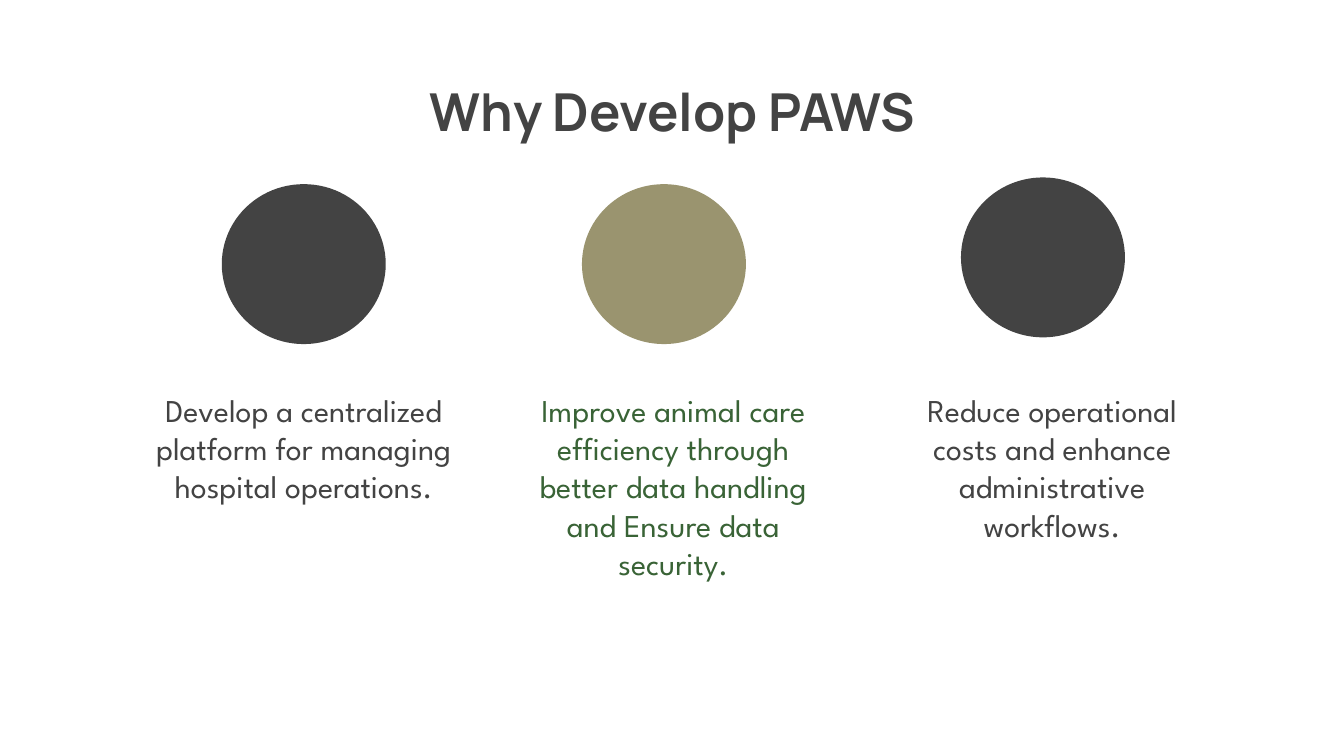
from pptx import Presentation
from pptx.dml.color import RGBColor
from pptx.enum.shapes import MSO_SHAPE
from pptx.enum.text import MSO_ANCHOR, PP_ALIGN
from pptx.util import Inches, Pt

CHARCOAL = "434343"
OLIVE = "9A946F"
GREEN = "396336"

# Each reason: circle left, top, colour; text left, width, height, colour; wording
REASONS = [
    (1.65, 1.37, CHARCOAL, 1.05, 2.42, 1.84, CHARCOAL,
     "Develop a centralized platform for managing hospital operations."),
    (4.33, 1.37, OLIVE, 3.8, 2.42, 1.94, GREEN,
     "Improve animal care efficiency through better data handling "
     "and Ensure data security."),
    (7.15, 1.32, CHARCOAL, 6.71, 2.24, 1.94, CHARCOAL,
     "Reduce operational costs and enhance administrative workflows."),
]


def color(hex_value):
    return RGBColor.from_string(hex_value)


def add_text(slide, text, left, top, width, height, *, font, size, fill,
             bold=False):
    box = slide.shapes.add_textbox(
        Inches(left), Inches(top), Inches(width), Inches(height))
    frame = box.text_frame
    frame.word_wrap = True
    frame.vertical_anchor = MSO_ANCHOR.TOP
    frame.margin_left = frame.margin_right = Inches(0.1)
    frame.margin_top = frame.margin_bottom = Inches(0.1)
    paragraph = frame.paragraphs[0]
    paragraph.alignment = PP_ALIGN.CENTER
    run = paragraph.add_run()
    run.text = text
    run.font.name = font
    run.font.size = Pt(size)
    run.font.bold = bold
    run.font.color.rgb = color(fill)


def add_circle(slide, left, top, fill):
    circle = slide.shapes.add_shape(
        MSO_SHAPE.OVAL, Inches(left), Inches(top), Inches(1.22), Inches(1.19))
    circle.shadow.inherit = False
    circle.fill.solid()
    circle.fill.fore_color.rgb = color(fill)
    circle.line.fill.background()


def main():
    # Widescreen page, 16 to 9
    deck = Presentation()
    deck.slide_width = Inches(10)
    deck.slide_height = Inches(10 * 9 / 16)
    slide = deck.slides.add_slide(deck.slide_layouts[6])

    # Background
    slide.background.fill.solid()
    slide.background.fill.fore_color.rgb = color("FFFFFF")

    # Title
    add_text(slide, "Why Develop PAWS", 0.34, 0.49, 9.32, 0.63,
             font="Manrope", size=28, fill=CHARCOAL, bold=True)

    # Reasons, each a circle above its text
    for (circle_left, circle_top, circle_fill,
         text_left, width, height, text_fill, wording) in REASONS:
        add_circle(slide, circle_left, circle_top, circle_fill)
        add_text(slide, wording, text_left, 2.81, width, height,
                 font="League Spartan", size=17, fill=text_fill)

    deck.save("out.pptx")


if __name__ == "__main__":
    main()
